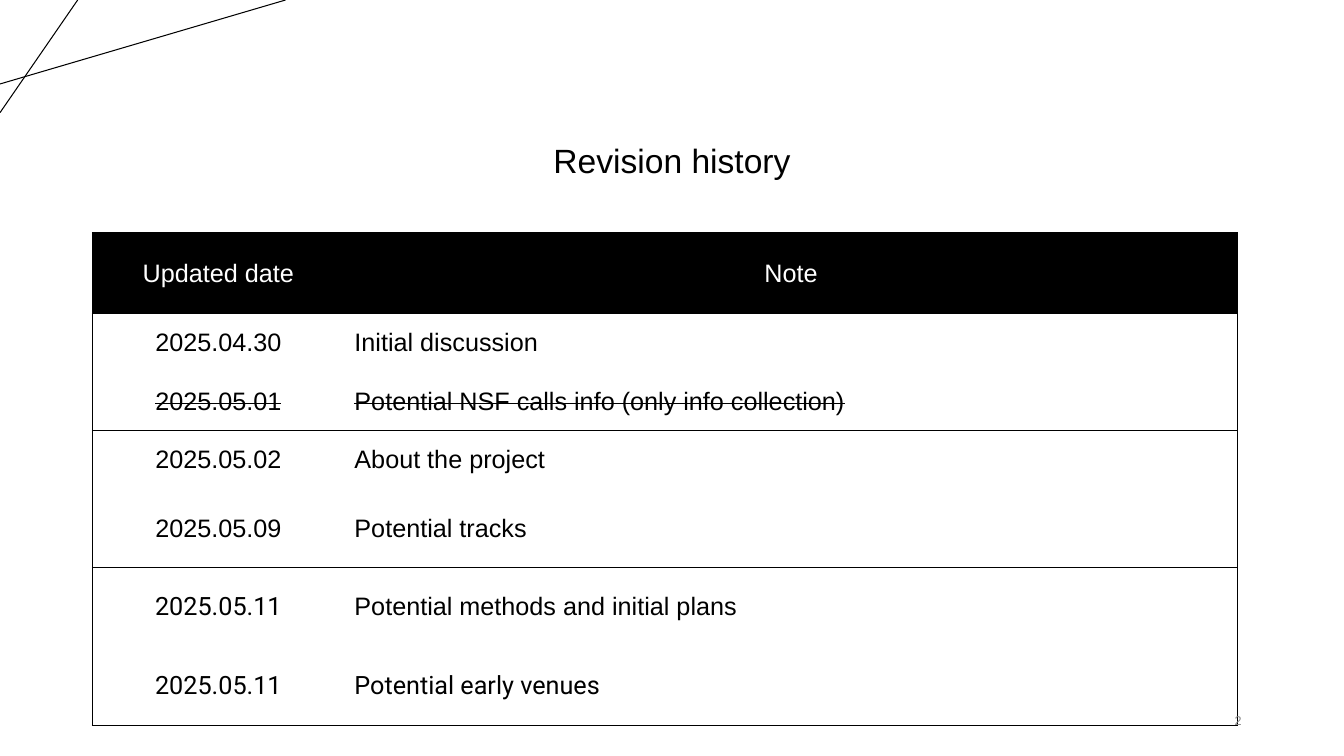
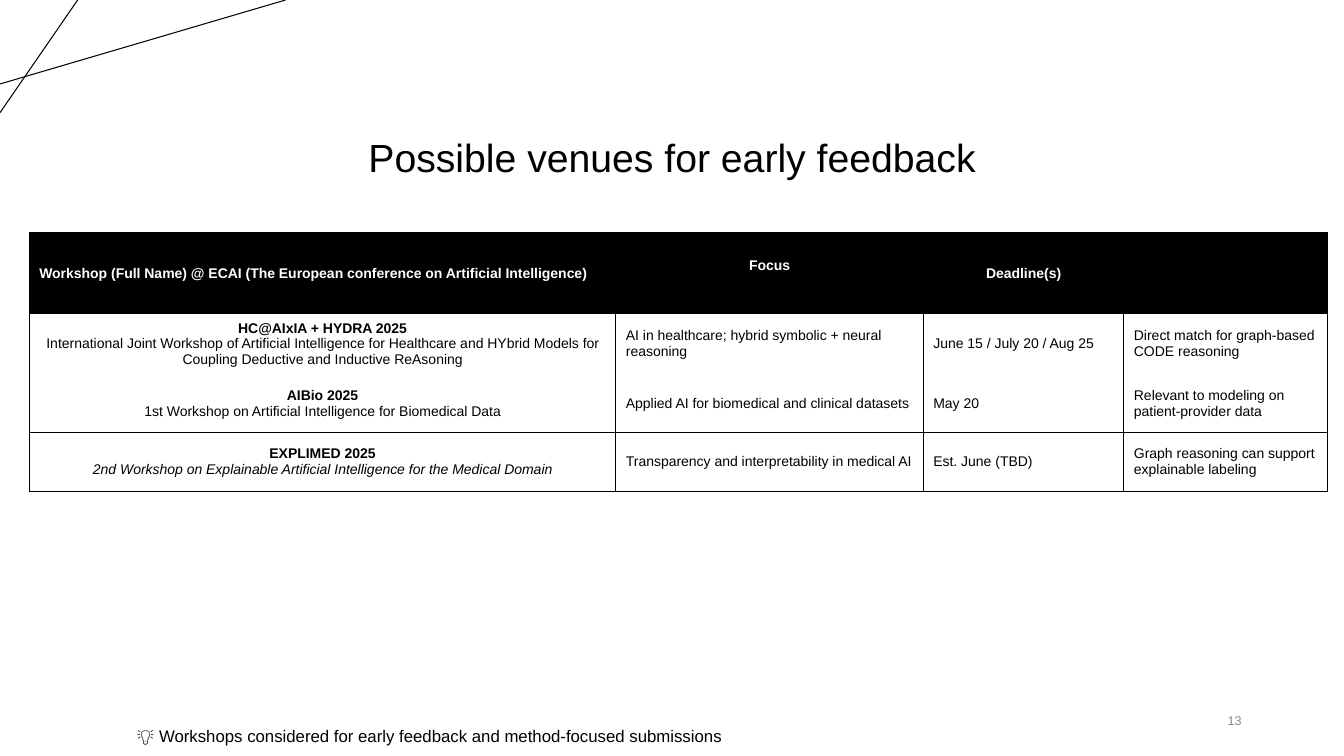
from dataclasses import dataclass, field
from typing import Any

import lxml.etree
import pptx
import pptx.dml.color
import pptx.enum.shapes
import pptx.enum.text
import pptx.oxml.ns
import pptx.util

Pt = pptx.util.Pt
Align = pptx.enum.text.PP_ALIGN
Anchor = pptx.enum.text.MSO_ANCHOR


def rgb(code: str) -> pptx.dml.color.RGBColor:
    return pptx.dml.color.RGBColor.from_string(code)


@dataclass(frozen=True)
class Theme:
    ink: str = "000000"
    paper: str = "FFFFFF"
    muted: str = "888888"
    font: str = "Arial"
    date_font: str = "Roboto"
    history_size: float = 18
    venue_size: float = 10
    note_size: float = 12
    number_size: float = 9
    rule: float = 0.75
    divider: float = 1


THEME = Theme()


@dataclass(frozen=True)
class Area:
    left: float
    top: float
    width: float
    height: float


@dataclass(frozen=True)
class Span:
    text: str
    bold: bool = False
    italic: bool = False
    strike: bool = False
    font: str = THEME.font


@dataclass(frozen=True)
class Entry:
    lines: list[list[Span]]
    align: Any = Align.LEFT
    bottom: float = 3.6


@dataclass(frozen=True)
class Grid:
    left: float
    top: float
    columns: list[float]
    heights: list[float]
    rows: list[list[Entry]]
    size: float
    ruled_rows: set[int]
    divider: float = 0


@dataclass(frozen=True)
class Page:
    title: str
    title_size: float
    number: str
    grid: Grid
    notes: list[Span] = field(default_factory=list)


TITLE_AREA = Area(66, 28, 828, 104.5)
NUMBER_AREA = Area(816.5, 500.5, 77.5, 28.8)
NOTE_AREA = Area(90.7, 514.8, 814.3, 21.6)
CORNER_LINES = [(0, 60, 204, 0), (55.5, 0, 0, 80.5)]
HEADER_HEIGHT = 57.6
ROW_HEIGHT = 41.8
TALL_ROW_HEIGHT = 56.2
TABLE_TOP = 166.4


def apply(target: Any, values: dict[str, Any]) -> None:
    for name, value in values.items():
        setattr(target, name, value)


def write_line(para: Any, spans: list[Span], size: float, color: str, align: Any) -> None:
    para.alignment = align
    for item in spans:
        span = para.add_run()
        span.text = item.text
        apply(span.font, {"name": item.font, "size": Pt(size), "bold": item.bold, "italic": item.italic})
        span.font.color.rgb = rgb(color)
        if item.strike:
            span.font._element.set("strike", "sngStrike")


def write_box(slide: Any, area: Area, spans: list[Span], size: float, align: Any = Align.LEFT,
              anchor: Any = Anchor.TOP, color: str = THEME.ink, spacing: float = 1) -> None:
    box = slide.shapes.add_textbox(Pt(area.left), Pt(area.top), Pt(area.width), Pt(area.height))
    apply(box.text_frame, {"word_wrap": True, "vertical_anchor": anchor})
    para = box.text_frame.paragraphs[0]
    para.line_spacing = spacing
    write_line(para, spans, size, color, align)


def draw_corner(slide: Any) -> None:
    for ends in CORNER_LINES:
        line = slide.shapes.add_connector(pptx.enum.shapes.MSO_CONNECTOR.STRAIGHT, *map(Pt, ends))
        line.line.color.rgb = rgb(THEME.ink)
        line.line.width = Pt(THEME.rule)
        lxml.etree.SubElement(line._element.spPr, pptx.oxml.ns.qn("a:effectLst"))


def set_borders(cell: Any, widths: dict[str, float]) -> None:
    properties = cell._tc.get_or_add_tcPr()
    for index, (side, width) in enumerate(widths.items()):
        border = lxml.etree.Element(pptx.oxml.ns.qn(f"a:ln{side}"), w=str(int(Pt(width))))
        fill = lxml.etree.SubElement(border, pptx.oxml.ns.qn("a:solidFill" if width else "a:noFill"))
        if width:
            lxml.etree.SubElement(fill, pptx.oxml.ns.qn("a:srgbClr"), val=THEME.ink)
        properties.insert(index, border)


def draw_grid(slide: Any, grid: Grid) -> None:
    frame = slide.shapes.add_table(
        len(grid.rows), len(grid.columns), Pt(grid.left), Pt(grid.top),
        Pt(sum(grid.columns)), Pt(sum(grid.heights)))
    table = frame.table
    apply(table, {"first_row": False, "horz_banding": False})
    for column, width in zip(table.columns, grid.columns):
        column.width = Pt(width)
    for row, height in zip(table.rows, grid.heights):
        row.height = Pt(height)

    def rule_at(edge: int) -> float:
        return THEME.rule if edge in grid.ruled_rows else 0

    def divider_at(edge: int) -> float:
        return THEME.rule if edge in (0, len(grid.columns)) else grid.divider

    for y, entries in enumerate(grid.rows):
        for x, entry in enumerate(entries):
            cell = table.cell(y, x)
            apply(cell, {"vertical_anchor": Anchor.MIDDLE, "margin_left": Pt(7.2), "margin_right": Pt(7.2),
                         "margin_top": Pt(3.6), "margin_bottom": Pt(entry.bottom)})
            fill, ink = (THEME.ink, THEME.paper) if y == 0 else (THEME.paper, THEME.ink)
            cell.fill.solid()
            cell.fill.fore_color.rgb = rgb(fill)
            set_borders(cell, {"L": divider_at(x), "R": divider_at(x + 1), "T": rule_at(y), "B": rule_at(y + 1)})
            for index, spans in enumerate(entry.lines):
                text = cell.text_frame
                para = text.add_paragraph() if index else text.paragraphs[0]
                write_line(para, spans, grid.size, ink, entry.align)


def build_page(deck: Any, page: Page) -> None:
    slide = deck.slides.add_slide(deck.slide_layouts[6])
    draw_corner(slide)
    write_box(slide, TITLE_AREA, [Span(page.title)], page.title_size, Align.CENTER, Anchor.BOTTOM, spacing=0.9)
    draw_grid(slide, page.grid)
    write_box(slide, NUMBER_AREA, [Span(page.number)], THEME.number_size, Align.RIGHT, Anchor.MIDDLE, THEME.muted)
    if page.notes:
        write_box(slide, NOTE_AREA, page.notes, THEME.note_size)


def header(text: str, bold: bool = False, align: Any = Align.CENTER, bottom: float = 3.6) -> Entry:
    return Entry([[Span(text, bold)]] if text else [], align, bottom)


def revision(date: str, note: str, strike: bool = False, date_font: str = THEME.font,
             note_font: str = THEME.font) -> list[Entry]:
    return [Entry([[Span(date, strike=strike, font=date_font)]], Align.CENTER),
            Entry([[Span(note, strike=strike, font=note_font)]])]


def venue(name: str, full_name: str, details: list[str], italic: bool = False) -> list[Entry]:
    workshop = Entry([[Span(name, bold=True)], [Span(full_name, italic=italic)]], Align.CENTER)
    return [workshop, *(Entry([[Span(detail)]]) for detail in details)]


HISTORY = Grid(
    left=66, top=TABLE_TOP, columns=[180, 638],
    heights=[HEADER_HEIGHT] + [ROW_HEIGHT] * 3 + [TALL_ROW_HEIGHT] * 3,
    rows=[
        [header("Updated date"), header("Note")],
        revision("2025.04.30", "Initial discussion"),
        revision("2025.05.01", "Potential NSF calls info (only info collection)", strike=True),
        revision("2025.05.02", "About the project"),
        revision("2025.05.09", "Potential tracks"),
        revision("2025.05.11", "Potential methods and initial plans", date_font=THEME.date_font),
        revision("2025.05.11", "Potential early venues", date_font=THEME.date_font, note_font=THEME.date_font),
    ],
    size=THEME.history_size, ruled_rows={0, 1, 3, 5, 7})

VENUES = Grid(
    left=20.9, top=TABLE_TOP, columns=[419, 219.6, 143.3, 145.4],
    heights=[HEADER_HEIGHT] + [ROW_HEIGHT] * 3,
    rows=[
        [header("Workshop (Full Name) @ ECAI (The European conference on Artificial Intelligence)", True, Align.LEFT),
         header("Focus", True, bottom=15), header("Deadline(s)", True), header("")],
        venue("HC@AIxIA + HYDRA 2025",
              "International Joint Workshop of Artificial Intelligence for Healthcare and HYbrid Models for "
              "Coupling Deductive and Inductive ReAsoning",
              ["AI in healthcare; hybrid symbolic + neural reasoning", "June 15 / July 20 / Aug 25",
               "Direct match for graph-based CODE reasoning"]),
        venue("AIBio 2025", "1st Workshop on Artificial Intelligence for Biomedical Data",
              ["Applied AI for biomedical and clinical datasets", "May 20",
               "Relevant to modeling on patient-provider data"]),
        venue("EXPLIMED 2025", "2nd Workshop on Explainable Artificial Intelligence for the Medical Domain",
              ["Transparency and interpretability in medical AI", "Est. June (TBD)",
               "Graph reasoning can support explainable labeling"], italic=True),
    ],
    size=THEME.venue_size, ruled_rows={0, 1, 3, 4}, divider=THEME.divider)

PAGES = [
    Page("Revision history", 24, "2", HISTORY),
    Page("Possible venues for early feedback", 28, "13", VENUES,
         [Span("💡 ", bold=True), Span("Workshops considered for early feedback and method-focused submissions")]),
]


def main() -> None:
    deck = pptx.Presentation()
    apply(deck, {"slide_width": Pt(960), "slide_height": Pt(540)})
    for page in PAGES:
        build_page(deck, page)
    deck.save("out.pptx")


if __name__ == "__main__":
    main()
